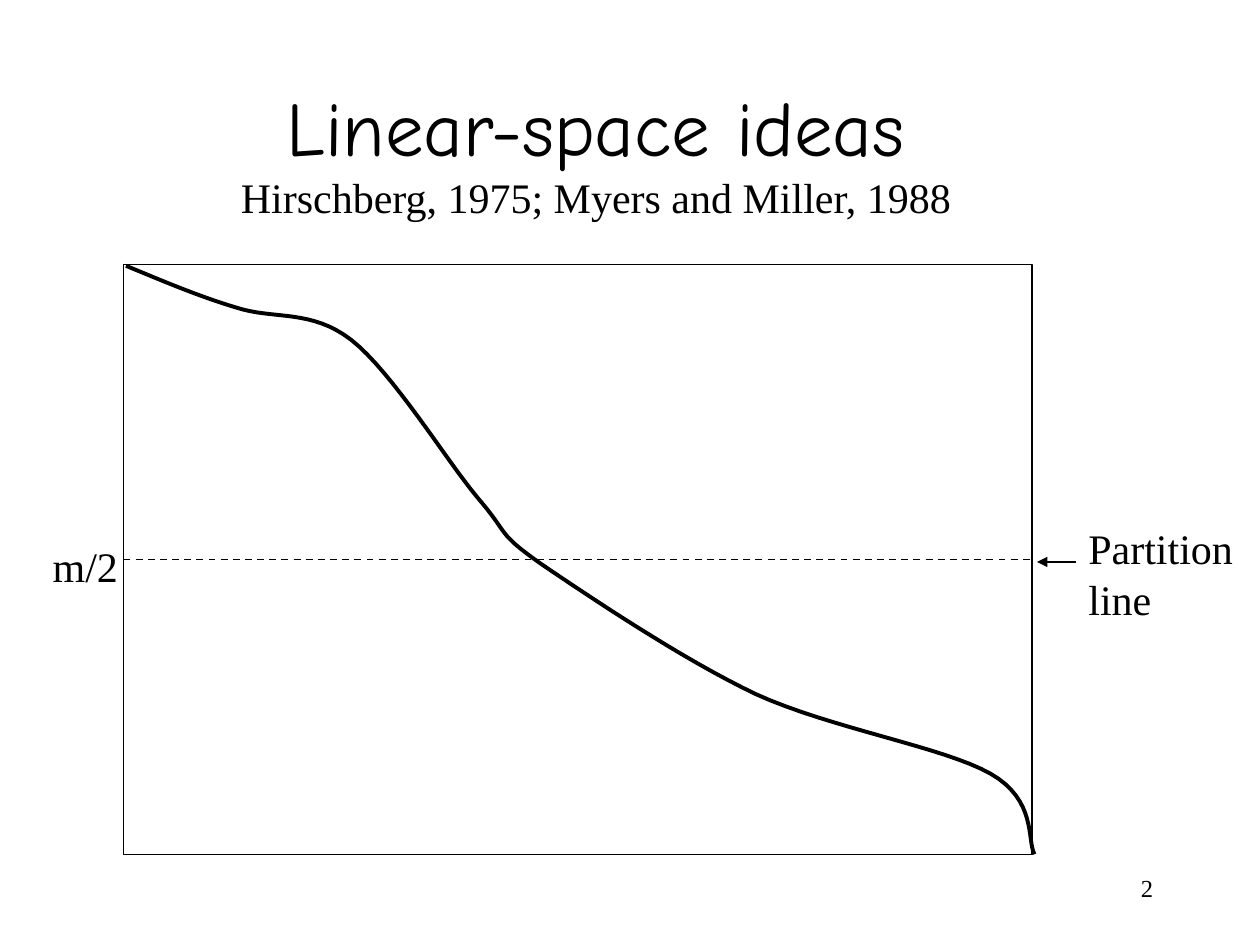
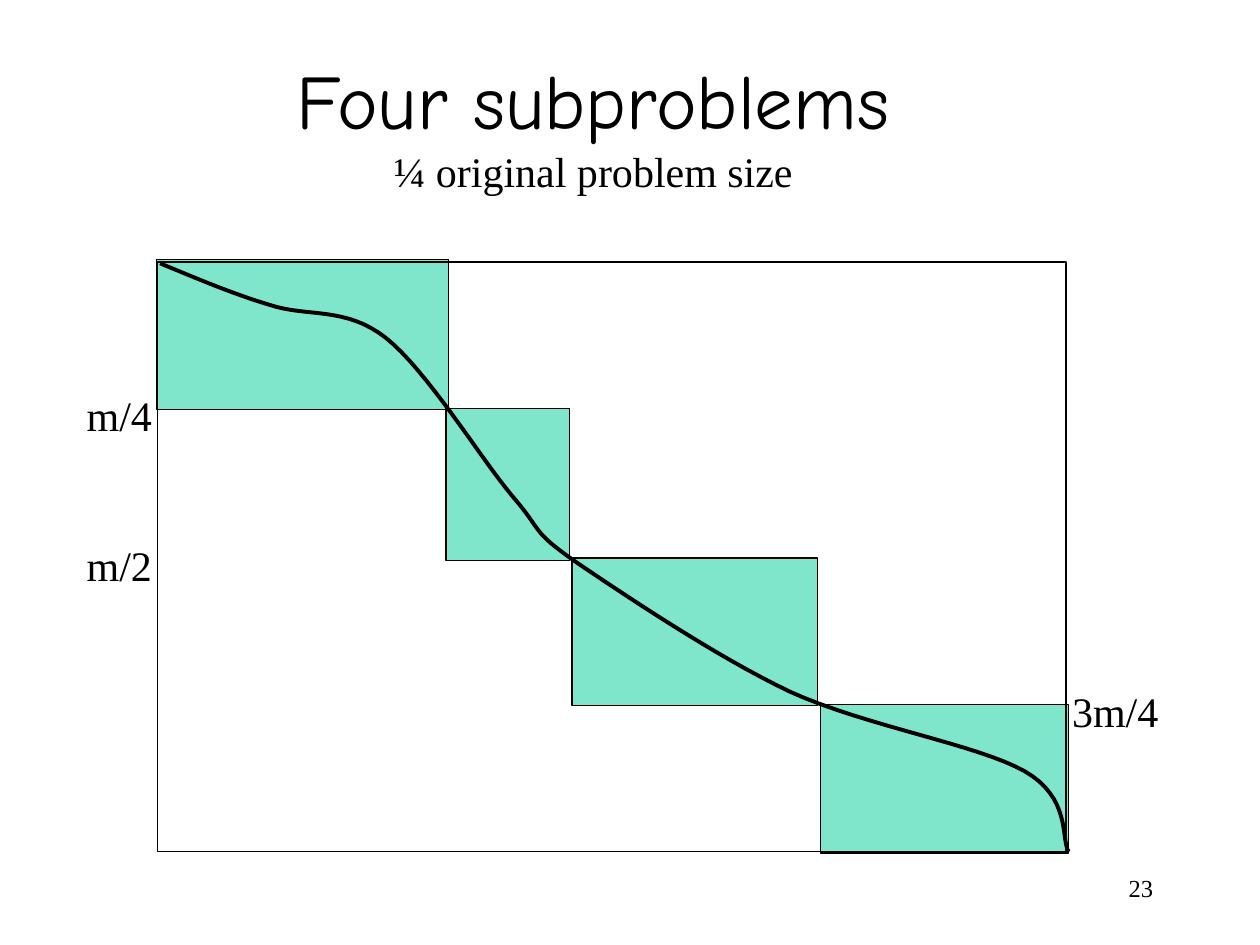
from dataclasses import dataclass
from typing import Any, NamedTuple

import lxml.etree
import pptx
import pptx.dml.color
import pptx.enum.dml
import pptx.enum.shapes
import pptx.enum.text
import pptx.oxml.ns
import pptx.shapes.autoshape
import pptx.shapes.connector
import pptx.slide
import pptx.text.text
import pptx.util

PX = 9144  # EMU in one px, 100 px to the inch
ALIGN = pptx.enum.text.PP_ALIGN
qn = pptx.oxml.ns.qn


@dataclass(frozen=True)
class Theme:
    ink: str = "000000"
    paper: str = "FFFFFF"
    block: str = "00CC99"
    block_alpha: int = 50000
    title_font: str = "Comic Neue"
    text_font: str = "Times New Roman"
    title_size: int = 44
    text_size: int = 24
    number_size: int = 14
    thin: float = 0.75
    dashed: float = 1
    thick: float = 2.25


class Box(NamedTuple):
    left: int
    top: int
    width: int
    height: int

    def emu(self) -> list[int]:
        return [length * PX for length in self]


class Point(NamedTuple):
    x: int
    y: int


class Label(NamedTuple):
    text: str
    box: Box


class Page(NamedTuple):
    title: str
    subtitle: str
    number: str
    title_box: Box
    frame: Point
    blocks: list[Box]
    labels: list[Label]


THEME = Theme()
FRAME_SIZE = (721, 468)
NUMBER_BOX = Box(717, 684, 208, 50)
CURVE_STEPS = 16
FRAME_FORMAT = {"margin_left": 10 * PX, "margin_right": 10 * PX,
                "margin_top": 9 * PX, "margin_bottom": 5 * PX,
                "word_wrap": True,
                "auto_size": pptx.enum.text.MSO_AUTO_SIZE.NONE,
                "vertical_anchor": pptx.enum.text.MSO_ANCHOR.TOP}

# Alignment path, relative to the frame: a start, then three points per Bezier segment
PATH_START = Point(2, 1)
PATH_SEGMENTS = [
    (Point(31, 13), Point(59, 25), Point(89, 34)),
    (Point(119, 44), Point(149, 35), Point(181, 60)),
    (Point(213, 85), Point(256, 155), Point(281, 185)),
    (Point(307, 215), Point(295, 212), Point(332, 238)),
    (Point(369, 263), Point(443, 313), Point(502, 341)),
    (Point(561, 368), Point(651, 383), Point(688, 404)),
    (Point(725, 425), Point(717, 457), Point(723, 468)),
]

PAGES = [
    Page("Linear-space ideas", "Hirschberg, 1975; Myers and Miller, 1988", "2",
         Box(135, 54, 676, 124), Point(98, 210), [],
         [Label("m/2", Box(32, 420, 106, 50)),
          Label("Partition line", Box(854, 406, 146, 90))]),
    Page("Four subproblems", "¼ original problem size", "23",
         Box(133, 33, 676, 184), Point(125, 208),
         [Box(651, 559, 197, 118), Box(454, 443, 195, 117),
          Box(354, 324, 98, 121), Box(124, 206, 232, 119)],
         [Label("m/2", Box(59, 419, 106, 50)),
          Label("m/4", Box(59, 300, 76, 50)),
          Label("3m/4", Box(841, 535, 138, 50))]),
]


def rgb(color: str) -> pptx.dml.color.RGBColor:
    return pptx.dml.color.RGBColor.from_string(color)


def apply(target: Any, values: dict[str, Any]) -> None:
    for name, value in values.items():
        setattr(target, name, value)


def write(para: Any, text: str, font: str, size: int, alignment: Any) -> None:
    apply(para, {"alignment": alignment, "space_before": pptx.util.Pt(0)})
    span = para.add_run()
    span.text = text
    apply(span.font, {"name": font, "size": pptx.util.Pt(size)})
    span.font.color.rgb = rgb(THEME.ink)


def add_title(slide: pptx.slide.Slide, page: Page) -> None:
    title = slide.shapes.title
    apply(title, dict(zip(("left", "top", "width", "height"), page.title_box.emu())))
    apply(title.text_frame, FRAME_FORMAT)
    write(title.text_frame.paragraphs[0], page.title,
          THEME.title_font, THEME.title_size, ALIGN.CENTER)
    write(title.text_frame.add_paragraph(), page.subtitle,
          THEME.text_font, THEME.text_size, ALIGN.CENTER)


def add_label(slide: pptx.slide.Slide, label: Label, size: int = THEME.text_size,
              alignment: Any = ALIGN.LEFT) -> None:
    text_frame = slide.shapes.add_textbox(*label.box.emu()).text_frame
    apply(text_frame, FRAME_FORMAT)
    write(text_frame.paragraphs[0], label.text, THEME.text_font, size, alignment)


def outline(shape: Any, weight: float) -> None:
    shape.line.color.rgb = rgb(THEME.ink)
    shape.line.width = pptx.util.Pt(weight)


def add_rectangle(slide: pptx.slide.Slide, box: Box) -> pptx.shapes.autoshape.Shape:
    """Draw an unfilled rectangle with a thin line."""
    shape = slide.shapes.add_shape(pptx.enum.shapes.MSO_SHAPE.RECTANGLE, *box.emu())
    shape.shadow.inherit = False
    shape.fill.background()
    outline(shape, THEME.thin)
    return shape


def add_block(slide: pptx.slide.Slide, box: Box) -> None:
    """Draw a half-transparent subproblem."""
    block = add_rectangle(slide, box)
    block.fill.solid()
    block.fill.fore_color.rgb = rgb(THEME.block)
    color = block._element.spPr.find(qn("a:solidFill"))[0]
    lxml.etree.SubElement(color, qn("a:alpha"), val=str(THEME.block_alpha))


def add_line(slide: pptx.slide.Slide, start: Point, end: Point,
             weight: float) -> pptx.shapes.connector.Connector:
    line = slide.shapes.add_connector(
        pptx.enum.shapes.MSO_CONNECTOR.STRAIGHT,
        *(length * PX for length in (*start, *end)))
    outline(line, weight)
    lxml.etree.SubElement(line._element.spPr, qn("a:effectLst"))
    return line


def add_path(slide: pptx.slide.Slide, frame: Point) -> None:
    """Draw the alignment path, sampling each Bezier segment evenly."""
    def place(x: float, y: float) -> tuple[int, int]:
        return round((frame.x + x) * PX), round((frame.y + y) * PX)

    builder = slide.shapes.build_freeform(*place(*PATH_START))
    start, vertices = PATH_START, []
    for segment in PATH_SEGMENTS:
        for step in range(1, CURVE_STEPS + 1):
            t = step / CURVE_STEPS
            weights = ((1 - t) ** 3, 3 * t * (1 - t) ** 2, 3 * t ** 2 * (1 - t), t ** 3)
            vertices.append(place(*(
                sum(weight * length for weight, length in zip(weights, lengths))
                for lengths in zip(start, *segment))))
        start = segment[-1]
    builder.add_line_segments(vertices, close=False)
    path = builder.convert_to_shape()
    path.shadow.inherit = False
    path.fill.background()
    outline(path, THEME.thick)


def add_partition(slide: pptx.slide.Slide, frame: pptx.shapes.autoshape.Shape) -> None:
    """Draw the dashed middle line of the frame and the arrow that points to it."""
    partition = add_line(slide, Point(98, 444), Point(819, 444), THEME.dashed)
    partition.line.dash_style = pptx.enum.dml.MSO_LINE.DASH
    partition.begin_connect(frame, 1)
    partition.end_connect(frame, 3)
    arrow = add_line(slide, Point(854, 446), Point(823, 446), THEME.thin)
    lxml.etree.SubElement(arrow.line._get_or_add_ln(), qn("a:tailEnd"), type="triangle")


def add_page(deck: Any, page: Page) -> tuple[pptx.slide.Slide, pptx.shapes.autoshape.Shape]:
    """Draw what both slides share and return the slide with its frame."""
    slide = deck.slides.add_slide(deck.slide_layouts.get_by_name("Title Only"))
    slide.background.fill.solid()
    slide.background.fill.fore_color.rgb = rgb(THEME.paper)
    add_title(slide, page)
    add_label(slide, Label(page.number, NUMBER_BOX), THEME.number_size, ALIGN.RIGHT)
    for block in page.blocks:
        add_block(slide, block)
    frame = add_rectangle(slide, Box(*page.frame, *FRAME_SIZE))
    add_path(slide, page.frame)
    for label in page.labels:
        add_label(slide, label)
    return slide, frame


def main() -> None:
    deck = pptx.Presentation()
    apply(deck, {"slide_width": 1000 * PX, "slide_height": 750 * PX})
    ideas, subproblems = PAGES
    add_partition(*add_page(deck, ideas))
    add_page(deck, subproblems)
    deck.save("out.pptx")


if __name__ == "__main__":
    main()
